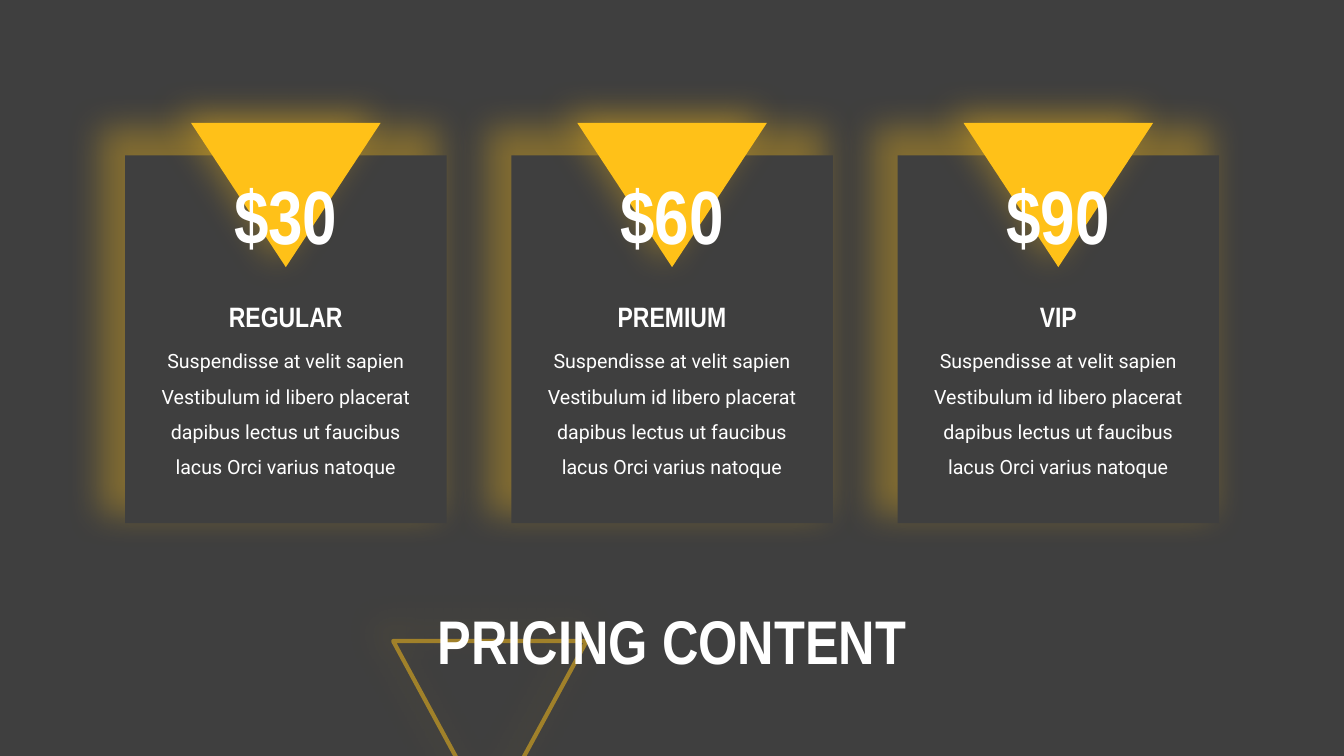
from lxml.etree import SubElement
from pptx import Presentation
from pptx.dml.color import RGBColor
from pptx.enum.shapes import MSO_SHAPE
from pptx.enum.text import MSO_ANCHOR, MSO_AUTO_SIZE, PP_ALIGN
from pptx.oxml.ns import qn
from pptx.util import Pt

PLANS = [("$30", "REGULAR"), ("$60", "PREMIUM"), ("$90", "VIP")]
DETAILS = ("Suspendisse at velit sapien Vestibulum id libero placerat "
           "dapibus lectus ut faucibus lacus Orci varius natoque")
FIRST_CARD, CARD_PITCH, CARD_WIDTH = 89.28, 275.9, 229.68


def paint(target, color, alpha=None):
    target.solid()
    target.fore_color.rgb = RGBColor.from_string(color)
    if alpha is not None:
        choice = target._xPr.find(qn("a:solidFill")).find(qn("a:srgbClr"))
        SubElement(choice, qn("a:alpha"), val=str(alpha * 1000))


class PricingSlide:
    dark, accent, light = "3F3F3F", "FFC118", "FFFFFF"
    heading, body = "Arial Narrow", "Roboto"

    def __init__(self, slide):
        self.slide = slide
        paint(slide.background.fill, self.dark)

    def backdrop(self, points):
        builder = self.slide.shapes.build_freeform(Pt(points[0][0]), Pt(points[0][1]))
        builder.add_line_segments([(Pt(x), Pt(y)) for x, y in points[1:]], close=True)
        panel = builder.convert_to_shape()
        panel.shadow.inherit = False
        paint(panel.fill, self.dark, 80)
        panel.line.fill.background()

    def glowing(self, preset, left, top, width, height, fill=None):
        figure = self.slide.shapes.add_shape(
            preset, Pt(left), Pt(top), Pt(width), Pt(height))
        transform = figure._element.spPr.find(qn("a:xfrm"))
        if fill:
            figure.rotation = 180
            transform.set("flipH", "1")
            paint(figure.fill, fill)
            figure.line.fill.background()
        else:
            transform.set("flipV", "1")
            figure.fill.background()
            figure.line.width = Pt(3)
            paint(figure.line.fill, self.accent, 50)
        figure.shadow.inherit = False
        effects = figure._element.spPr.find(qn("a:effectLst"))
        glow = SubElement(effects, qn("a:outerShdw"), blurRad=str(Pt(25)),
                          sx="105000", sy="105000", algn="ctr", rotWithShape="0")
        tint = SubElement(glow, qn("a:srgbClr"), val=self.accent)
        SubElement(tint, qn("a:alpha"), val="35000")

    def fill_text(self, frame, text, size, font, bold, spacing):
        frame.word_wrap = True
        paragraph = frame.paragraphs[0]
        paragraph.alignment = PP_ALIGN.CENTER
        paragraph.line_spacing = spacing
        run = paragraph.add_run()
        run.text = text
        run.font.size = Pt(size)
        run.font.name = font
        run.font.bold = bold
        paint(run.font.fill, self.light)

    def title(self, text, left, top, width, height):
        title = self.slide.shapes.title
        title.left, title.top = Pt(left), Pt(top)
        title.width, title.height = Pt(width), Pt(height)
        self.slide.shapes._spTree.append(title._element)
        frame = title.text_frame
        frame.vertical_anchor = MSO_ANCHOR.MIDDLE
        frame.auto_size = MSO_AUTO_SIZE.NONE
        self.fill_text(frame, text, 44, self.heading, True, 0.9)

    def label(self, text, left, top, width, height, size, font, bold=True, spacing=1.0):
        box = self.slide.shapes.add_textbox(Pt(left), Pt(top), Pt(width), Pt(height))
        self.fill_text(box.text_frame, text, size, font, bold, spacing)
        box.text_frame.auto_size = MSO_AUTO_SIZE.SHAPE_TO_FIT_TEXT

    def card(self, left, price, plan):
        def centred(width):
            return left + (CARD_WIDTH - width) / 2

        self.glowing(MSO_SHAPE.RECTANGLE, left, 110.88, CARD_WIDTH, 262.8, self.dark)
        self.glowing(MSO_SHAPE.ISOSCELES_TRIANGLE, centred(135.36), 87.84,
                     135.36, 102.96, self.accent)
        self.label(price, centred(120.24), 117.36, 120.24, 72.72, 54, self.heading)
        self.label(plan, centred(135.36), 210.24, 135.36, 31.68, 20, self.heading)
        self.label(DETAILS, centred(202.32), 237.6, 202.32, 106.56, 14, self.body,
                   False, 1.5)


def main():
    deck = Presentation()
    deck.slide_width, deck.slide_height = Pt(960), Pt(540)
    slide = deck.slides.add_slide(deck.slide_layouts[0])
    subtitle = slide.placeholders[1]._element
    subtitle.getparent().remove(subtitle)

    pricing = PricingSlide(slide)
    pricing.backdrop([(0, 0), (960, 0), (960, 68.4), (480, 324), (0, 68.4)])
    pricing.glowing(MSO_SHAPE.ISOSCELES_TRIANGLE, 280.8, 457.92, 138.24, 127.44)
    pricing.title("PRICING CONTENT", 235.44, 424.8, 489.6, 70.56)
    for index, (price, plan) in enumerate(PLANS):
        pricing.card(FIRST_CARD + index * CARD_PITCH, price, plan)
    deck.save("out.pptx")


if __name__ == "__main__":
    main()
